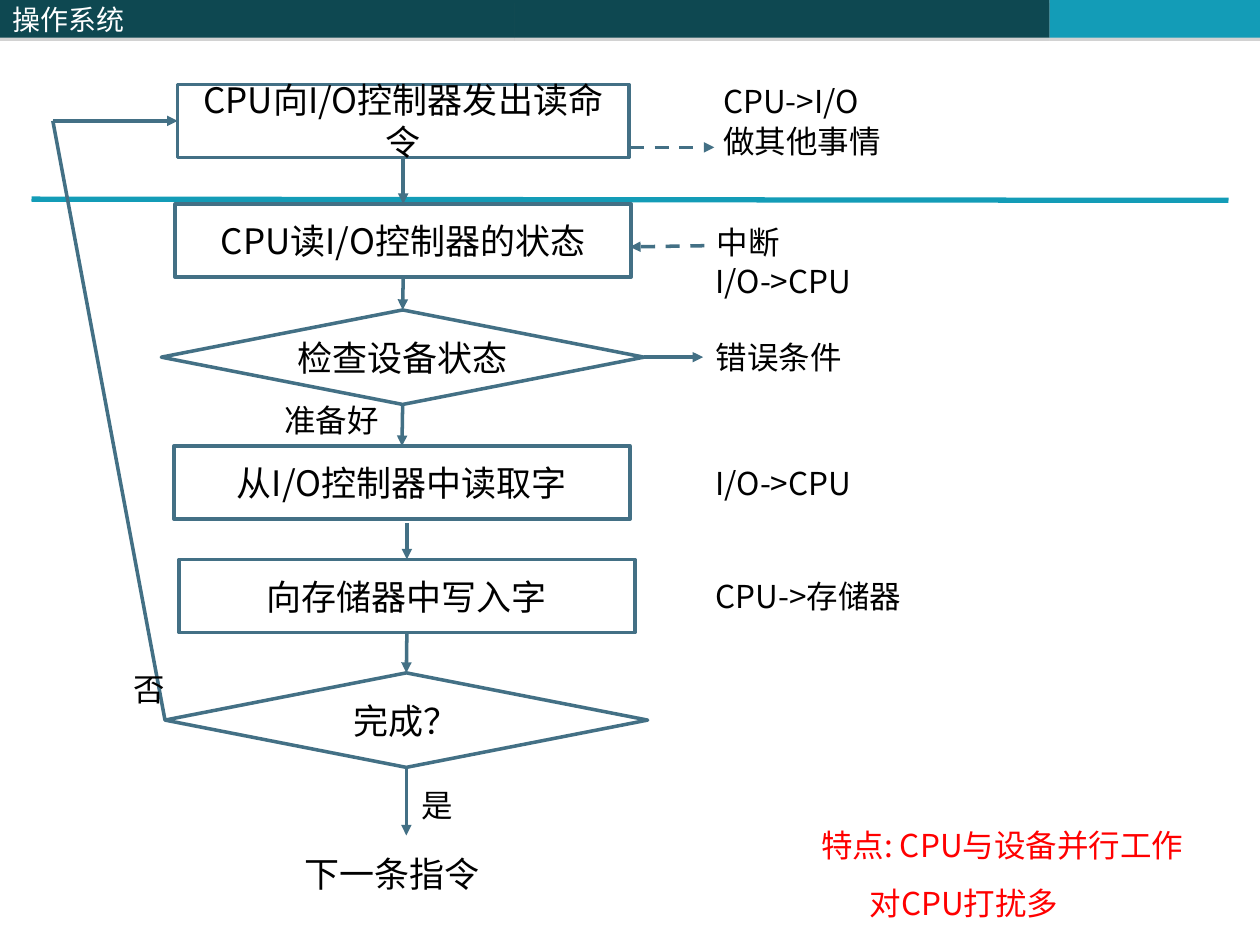
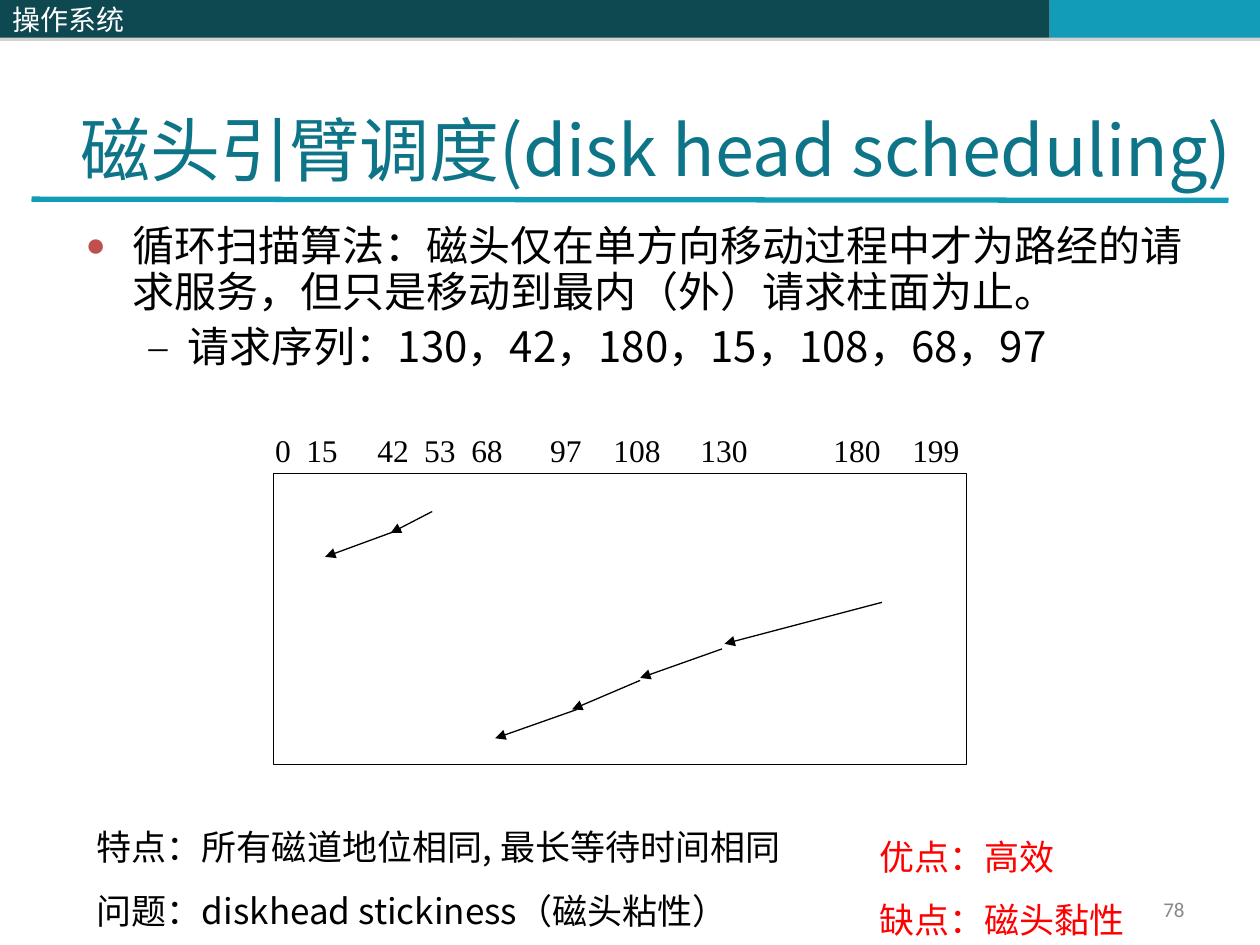
from dataclasses import dataclass, field
from typing import Optional, Union

from lxml import etree
from pptx import Presentation
from pptx.dml import color
from pptx.enum import dml, shapes, text
from pptx.oxml import ns
from pptx.util import Pt

CJK, CALIBRI, TIMES = "Noto Sans CJK SC", "Calibri", "Times New Roman"
BLACK, WHITE, RED = "000000", "FFFFFF", "FF0000"
DARK, TEAL, STEEL = "0E4851", "139CB7", "437085"
TITLE, GREY, BULLET = "0E7589", "898989", "C0504D"
RECT = shapes.MSO_SHAPE.RECTANGLE
DIAMOND = shapes.MSO_SHAPE.FLOWCHART_DECISION
TOP, LEFT, BOTTOM, RIGHT = range(4)
CENTER, ALIGN_RIGHT = text.PP_ALIGN.CENTER, text.PP_ALIGN.RIGHT
MIDDLE = text.MSO_ANCHOR.MIDDLE
BOX_H, DIAMOND_H = 41.8, 54


@dataclass
class Bullet:
    char: str
    color: str
    percent: int


@dataclass
class Para:
    text: str
    fmt: dict = field(default_factory=dict)
    margin: float = 0
    indent: float = 0
    bullet: Optional[Bullet] = None


@dataclass
class Label:
    x: float
    y: float
    w: float
    h: float
    paras: list[Para]
    size: float = 18
    color: str = BLACK
    font: str = CJK
    fmt: dict = field(default_factory=dict)


@dataclass
class Node:
    kind: shapes.MSO_SHAPE
    cx: float
    y: float
    w: float
    h: float
    text: str


End = tuple[Union[str, float], float]


@dataclass
class Link:
    begin: End
    end: End
    color: str = STEEL
    width: float = 2
    arrow: bool = True
    dashed: bool = False


@dataclass
class Band:
    x: float
    w: float
    color: str
    text: str = ""


def rgb(value: str) -> color.RGBColor:
    return color.RGBColor.from_string(value)


def apply(target, values: dict) -> None:
    for name, value in values.items():
        setattr(target, name, value)


def add_xml(parent, tag: str, **attrs):
    values = {k: str(v) for k, v in attrs.items()}
    return etree.SubElement(parent, ns.qn(tag), values)


def write(tf, paras: list[Para], size: float, ink: str, font: str, fmt: dict) -> None:
    apply(tf, {"word_wrap": True, **fmt})
    for i, para in enumerate(paras):
        p = tf.add_paragraph() if i else tf.paragraphs[0]
        apply(p, {"alignment": text.PP_ALIGN.LEFT, **para.fmt})
        ppr = p._p.get_or_add_pPr()
        ppr.set("marL", str(Pt(para.margin)))
        ppr.set("indent", str(Pt(para.indent)))
        if para.bullet:
            clr = add_xml(ppr, "a:buClr")
            add_xml(clr, "a:srgbClr", val=para.bullet.color)
            add_xml(ppr, "a:buSzPct", val=para.bullet.percent * 1000)
            add_xml(ppr, "a:buFont", typeface=TIMES)
            add_xml(ppr, "a:buChar", char=para.bullet.char)
        r = p.add_run()
        r.text = para.text
        apply(r.font, {"size": Pt(size), "name": font})
        r.font.color.rgb = rgb(ink)
        add_xml(r._r.get_or_add_rPr(), "a:ea", typeface=font)


def add_label(s, label: Label):
    sp = s.shapes.add_textbox(*map(Pt, (label.x, label.y, label.w, label.h)))
    write(sp.text_frame, label.paras, label.size, label.color, label.font, label.fmt)
    return sp


def add_box(s, kind, x: float, y: float, w: float, h: float,
            fill: Optional[str] = None, line: Optional[str] = None, width: float = 2):
    sp = s.shapes.add_shape(kind, *map(Pt, (x, y, w, h)))
    sp.shadow.inherit = False
    if fill:
        sp.fill.solid()
        sp.fill.fore_color.rgb = rgb(fill)
    else:
        sp.fill.background()
    if line:
        sp.line.color.rgb = rgb(line)
        sp.line.width = Pt(width)
    else:
        sp.line.fill.background()
    return sp


def add_node(s, node: Node):
    sp = add_box(s, node.kind, node.cx - node.w / 2, node.y, node.w, node.h, WHITE, STEEL)
    write(sp.text_frame, [Para(node.text, {"alignment": CENTER})], 20, BLACK, CJK,
          {"vertical_anchor": MIDDLE})
    return sp


def add_link(s, link: Link, nodes: Optional[dict] = None):
    def point(end: End) -> End:
        return (0, 0) if isinstance(end[0], str) else end

    c = s.shapes.add_connector(shapes.MSO_CONNECTOR.STRAIGHT,
                               *map(Pt, point(link.begin) + point(link.end)))
    for end, connect in ((link.begin, c.begin_connect), (link.end, c.end_connect)):
        if isinstance(end[0], str):
            connect(nodes[end[0]], end[1])
    c.line.color.rgb = rgb(link.color)
    c.line.width = Pt(link.width)
    if link.dashed:
        c.line.dash_style = dml.MSO_LINE.DASH
    if link.arrow:
        add_xml(c.line._get_or_add_ln(), "a:tailEnd", type="triangle")
    add_xml(c._element.spPr, "a:effectLst")
    return c


BANDS = [Band(293.8, 306, DARK), Band(599.8, 120.2, TEAL), Band(0, 293.8, DARK, "操作系统")]


def add_slide(prs):
    s = prs.slides.add_slide(prs.slide_layouts[6])
    for band in BANDS:
        sp = add_box(s, RECT, band.x, 0, band.w, 21.6, band.color)
        effects = sp._element.spPr.find(ns.qn("a:effectLst"))
        shadow = add_xml(effects, "a:outerShdw", blurRad=0, dist=Pt(1.8), dir=5400000,
                         rotWithShape=0)
        add_xml(add_xml(shadow, "a:srgbClr", val="808080"), "a:alpha", val=35000)
        if band.text:
            write(sp.text_frame, [Para(band.text)], 16, WHITE, CJK,
                  {"vertical_anchor": MIDDLE})
    add_link(s, Link((18, 113.8), (702, 114.5), TEAL, 3, arrow=False))
    return s


NODES = {
    "send": Node(RECT, 230.4, 48.2, 257.8, BOX_H, "CPU向I/O控制器发出读命令"),
    "status": Node(RECT, 230.4, 116.6, 260.6, BOX_H, "CPU读I/O控制器的状态"),
    "check": Node(DIAMOND, 230.1, 177.1, 275.8, DIAMOND_H, "检查设备状态"),
    "fetch": Node(RECT, 229.7, 254.9, 260.6, BOX_H, "从I/O控制器中读取字"),
    "store": Node(RECT, 232.5, 319.7, 260.6, BOX_H, "向存储器中写入字"),
    "done": Node(DIAMOND, 232.2, 384.5, 275.8, DIAMOND_H, "完成？"),
}
LOOP_CORNER = (30.2, 69.1)
LINKS = [
    Link(("send", BOTTOM), ("status", TOP)),
    Link(("status", BOTTOM), ("check", TOP)),
    Link(("check", BOTTOM), ("fetch", TOP)),
    Link((232.5, 298.8), ("store", TOP)),
    Link(("store", BOTTOM), ("done", TOP)),
    Link(("done", LEFT), LOOP_CORNER, arrow=False),
    Link(LOOP_CORNER, ("send", LEFT)),
    Link(("done", BOTTOM), (232.2, 477.4)),
    Link(("check", RIGHT), (401.8, 204.1)),
    Link((402.5, 140.4), (360, 141.1), dashed=True),
    Link((360, 84.2), (408.2, 84.2), dashed=True),
]
NOTES = [
    (234, 445.7, 58.3, "是"),
    (69.1, 379.4, 58.3, "否"),
    (155.5, 225.4, 89.3, "准备好"),
    (406.1, 43.2, 162.7, "CPU->I/O"),
    (406.1, 66.2, 162.7, "做其他事情"),
    (402.5, 123.8, 162.7, "中断"),
    (401.8, 146.2, 162.7, "I/O->CPU"),
    (401.8, 189.4, 162.7, "错误条件"),
    (401.8, 261.4, 162.7, "I/O->CPU"),
    (401.8, 326.2, 162.7, "CPU->存储器"),
]


def build_flowchart(prs) -> None:
    s = add_slide(prs)
    nodes = {name: add_node(s, node) for name, node in NODES.items()}
    for link in LINKS:
        add_link(s, link, nodes)
    for x, y, w, words in NOTES:
        add_label(s, Label(x, y, w, 28.8, [Para(words)]))
    add_label(s, Label(167, 483.8, 192.2, 31.7, [Para("下一条指令")], 20))
    add_label(s, Label(462.2, 468.7, 247.7, 67, [
        Para("特点: CPU与设备并行工作"),
        Para("对CPU打扰多", {"space_before": Pt(11.2)}, margin=27.7)], color=RED))


TRACK_CENTRES = {0: 161.7, 15: 184, 42: 224.6, 53: 251.4, 68: 278.3, 97: 323.4,
                 108: 364, 130: 413.7, 180: 489.7, 199: 534.8}
TRACK_W = 40
HEAD_MOVES = [
    ((247, 292.3), (223.2, 304.6)),
    ((229, 302.4), (185.8, 318.2)),
    ((504, 344.2), (414, 367.9)),
    ((412.6, 370.8), (365.8, 387.4)),
    ((365.8, 388.8), (326.9, 405.4)),
    ((329.8, 405.4), (283, 421.9)),
]


def build_scheduling(prs) -> None:
    s = add_slide(prs)
    body = {"line_spacing": 0.9}
    sides = ("left", "right", "top", "bottom")
    tight = {f"margin_{side}": Pt(0) for side in sides}
    labels = [
        Label(516.2, 509.8, 167.8, 19.4, [Para("78", {"alignment": ALIGN_RIGHT})], 12,
              GREY, CALIBRI, {"vertical_anchor": MIDDLE}),
        Label(5.8, 39.6, 738, 90,
              [Para("磁头引臂调度(disk head scheduling)", {"alignment": CENTER})], 40,
              TITLE, fmt={"vertical_anchor": MIDDLE}),
        Label(41.8, 125.3, 642.2, 131.8, [
            Para("循环扫描算法：磁头仅在单方向移动过程中才为路经的请求服务，"
                 "但只是移动到最内（外）请求柱面为止。",
                 body, 27, -27, Bullet("●", BULLET, 80)),
            Para("请求序列：130，42，180，15，108，68，97",
                 {**body, "space_before": Pt(6), "level": 1}, 58.5, -22.5,
                 Bullet("–", BLACK, 90))], 24),
        Label(48.2, 468, 642.2, 67.7, [
            Para("特点：所有磁道地位相同, 最长等待时间相同"),
            Para("问题：diskhead stickiness（磁头粘性）", {"space_before": Pt(12.5)})], 20),
        Label(459.4, 462.2, 360, 79.2, [
            Para(words, {"line_spacing": 1.5, "level": 1}, 36)
            for words in ("优点：高效", "缺点：磁头黏性")], 20, RED),
    ]
    labels += [
        Label(cx - TRACK_W / 2, 246.2, TRACK_W, 22,
              [Para(str(track), {"alignment": CENTER})], font=TIMES, fmt=tight)
        for track, cx in TRACK_CENTRES.items()]
    for label in labels:
        add_label(s, label)
    add_box(s, RECT, 156.2, 270.7, 396, 166.3, line=BLACK, width=0.75)
    for begin, end in HEAD_MOVES:
        add_link(s, Link(begin, end, BLACK, 0.75))


def main() -> None:
    prs = Presentation()
    apply(prs, {"slide_width": Pt(720), "slide_height": Pt(540)})
    build_flowchart(prs)
    build_scheduling(prs)
    prs.save("out.pptx")


if __name__ == "__main__":
    main()
